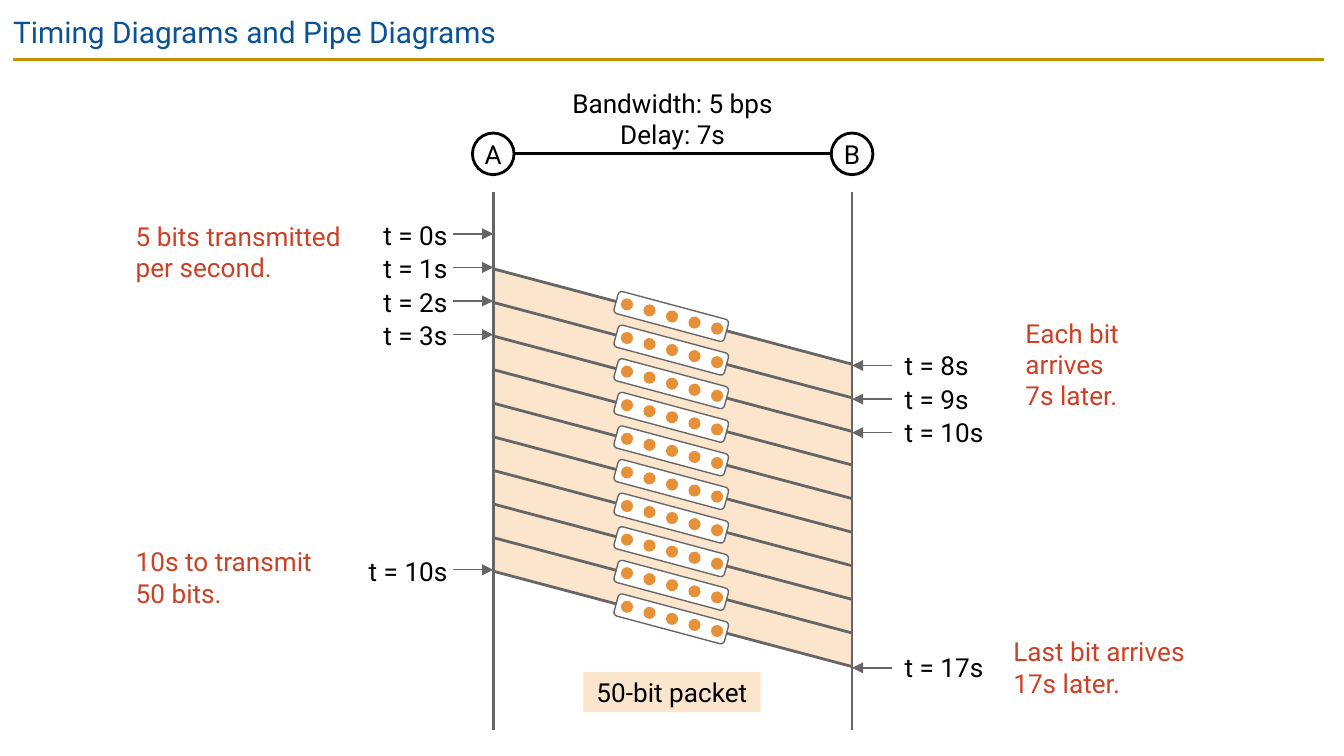
"""Build a timing diagram slide for a 50-bit packet sent from A to B."""
from lxml.etree import SubElement
from pptx import Presentation
from pptx.dml.color import RGBColor
from pptx.enum.shapes import MSO_CONNECTOR, MSO_SHAPE
from pptx.enum.text import MSO_ANCHOR, PP_ALIGN
from pptx.oxml.ns import qn
from pptx.util import Inches, Pt

COLORS = {
    "title": "0B5394", "rule": "BF9000", "ink": "000000", "note": "CC4125",
    "line": "666666", "packet": "FCE5CD", "bit": "E69138", "white": "FFFFFF",
}
FONT = "Roboto"
A_X, B_X = 3.67, 6.34
FIRST_Y, STEP, DROP = 2, 0.25, 0.71
SECONDS, BITS = 10, 5


def rgb(name):
    """Return the named colour."""
    return RGBColor.from_string(COLORS[name])


def set_text(s, text, size=14, color="ink", align=PP_ALIGN.LEFT,
             anchor=MSO_ANCHOR.TOP, inset=0.03):
    """Write text into a shape, one paragraph per line."""
    tf = s.text_frame
    tf.word_wrap = True
    tf.vertical_anchor = anchor
    tf.margin_left = tf.margin_right = Inches(inset)
    tf.margin_top = tf.margin_bottom = Inches(inset)
    tf.text = text
    for p in tf.paragraphs:
        p.alignment = align
        p.font.size = Pt(size)
        for r in p.runs:
            r.font.name = FONT
            r.font.size = Pt(size)
            r.font.color.rgb = rgb(color)


def add_text(shapes, x, y, w, h, text, **fmt):
    """Add a text box."""
    set_text(shapes.add_textbox(Inches(x), Inches(y), Inches(w), Inches(h)), text, **fmt)


def paint(s, fill, line=None, width=1.5):
    """Set the fill and outline of a shape."""
    s.shadow.inherit = False
    s.fill.solid()
    s.fill.fore_color.rgb = rgb(fill)
    if line:
        s.line.color.rgb = rgb(line)
        s.line.width = Pt(width)
    else:
        s.line.fill.background()


def add_shape(shapes, kind, x, y, w, h, fill, line=None, width=1.5):
    """Add a painted preset shape."""
    s = shapes.add_shape(kind, Inches(x), Inches(y), Inches(w), Inches(h))
    paint(s, fill, line, width)
    return s


def add_line(shapes, x1, y1, x2, y2, color="line", width=1.5, arrow=False):
    """Add a straight line, with an arrowhead at its end if asked."""
    s = shapes.add_connector(MSO_CONNECTOR.STRAIGHT, Inches(x1), Inches(y1),
                             Inches(x2), Inches(y2))
    s.line.color.rgb = rgb(color)
    s.line.width = Pt(width)
    if arrow:
        SubElement(s.line._get_or_add_ln(), qn("a:tailEnd"), type="triangle")
    SubElement(s._element.spPr, qn("a:effectLst"))


def add_node(shapes, x, name):
    """Add a circled host name centred on x."""
    s = add_shape(shapes, MSO_SHAPE.OVAL, x - 0.31 / 2, 0.99, 0.31, 0.31, "white", "ink")
    set_text(s, name, align=PP_ALIGN.CENTER, anchor=MSO_ANCHOR.MIDDLE, inset=0)


def add_packet_area(shapes):
    """Add the shaded band that the packet covers in time."""
    last_y = FIRST_Y + (SECONDS - 1) * STEP
    points = [(A_X, last_y), (B_X, last_y + DROP), (B_X, FIRST_Y + DROP)]
    builder = shapes.build_freeform(Inches(A_X), Inches(FIRST_Y), scale=1)
    builder.add_line_segments([(Inches(x), Inches(y)) for x, y in points], close=True)
    paint(builder.convert_to_shape(), "packet")


def add_bits(shapes, y):
    """Add a tilted group of the bits sent in one second."""
    group = shapes.add_group_shape().shapes
    s = add_shape(group, MSO_SHAPE.ROUNDED_RECTANGLE, 4.57, y + 0.27, 0.85, 0.17,
                  "white", "line", 0.75)
    s.adjustments[0] = 0.17
    s.rotation = 15
    for i in range(BITS):
        add_shape(group, MSO_SHAPE.OVAL, 4.62 + i * 0.67 / 4, y + 0.22 + i * 0.18 / 4,
                  0.09, 0.09, "bit")


def add_sent(shapes, second):
    """Mark a sending time on the left of A."""
    y = FIRST_Y + (second - 1) * STEP - 0.01
    add_line(shapes, A_X - 0.3, y, A_X, y, width=0.75, arrow=True)
    add_text(shapes, 2.61, y - 0.11, 0.72, 0.24, f"t = {second}s",
             align=PP_ALIGN.RIGHT, inset=0)


def add_arrival(shapes, second):
    """Mark an arrival time on the right of B."""
    y = FIRST_Y + (second - 8) * STEP + 0.72
    add_line(shapes, B_X + 0.3, y, B_X, y, width=0.75, arrow=True)
    add_text(shapes, 6.73, y - 0.12, 0.72, 0.24, f"t = {second}s", inset=0)


def main():
    """Build and save the slide."""
    prs = Presentation()
    prs.slide_width = Inches(10)
    prs.slide_height = prs.slide_width * 9 // 16
    shapes = prs.slides.add_slide(prs.slide_layouts[6]).shapes

    add_line(shapes, 0.1, 0.44, 9.85, 0.44, color="rule")
    add_text(shapes, 0, 0, 10, 0.43, "Timing Diagrams and Pipe Diagrams",
             size=16, color="title", inset=0.1)

    add_packet_area(shapes)
    starts = [FIRST_Y + i * STEP for i in range(SECONDS)]
    for y in starts:
        add_line(shapes, A_X, y, B_X, y + DROP)
    for x in (A_X, B_X):
        add_line(shapes, x, 1.43, x, 5.43)
    add_line(shapes, 3.83, 1.14, 6.19, 1.14, color="ink")
    add_node(shapes, A_X, "A")
    add_node(shapes, B_X, "B")
    add_text(shapes, A_X, 0.62, B_X - A_X, 0.53, "Bandwidth: 5 bps\nDelay: 7s",
             align=PP_ALIGN.CENTER)

    for second in (0, 1, 2, 3, 10):
        add_sent(shapes, second)
    for second in (8, 9, 10, 17):
        add_arrival(shapes, second)

    notes = [
        (0.98, 1.61, 1.66, 0.53, "5 bits transmitted per second."),
        (7.6, 2.33, 1.32, 0.77, "Each bit arrives\v7s later."),
        (0.98, 4.03, 1.52, 0.53, "10s to transmit 50 bits."),
        (7.51, 4.7, 1.45, 0.53, "Last bit arrives 17s later."),
    ]
    for x, y, w, h, text in notes:
        add_text(shapes, x, y, w, h, text, color="note")

    s = add_shape(shapes, MSO_SHAPE.RECTANGLE, 4.34, 5, 1.32, 0.3, "packet")
    set_text(s, "50-bit packet", align=PP_ALIGN.CENTER)
    for y in starts:
        add_bits(shapes, y)

    prs.save("out.pptx")


if __name__ == "__main__":
    main()
